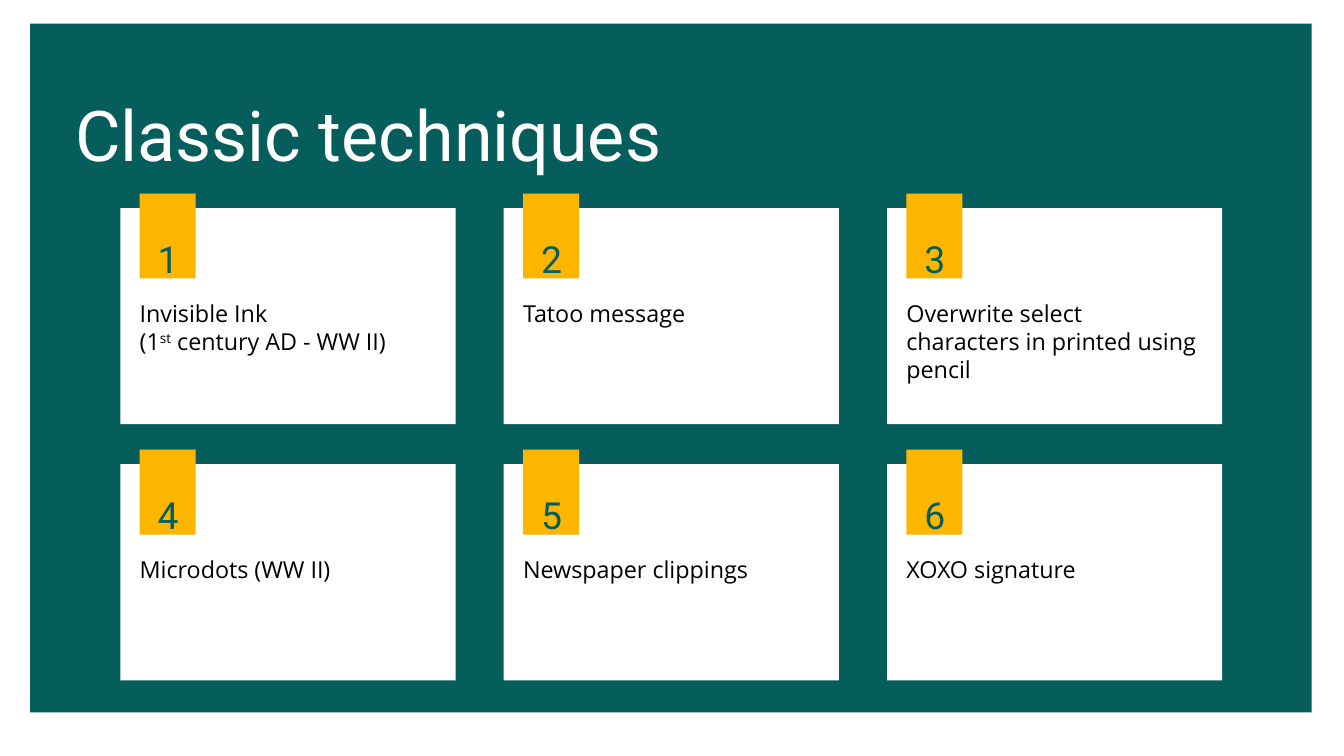
from pptx import Presentation
from pptx.dml.color import RGBColor
from pptx.enum.shapes import MSO_SHAPE
from pptx.enum.text import MSO_ANCHOR, MSO_AUTO_SIZE, PP_ALIGN
from pptx.util import Cm, Pt

TEAL, GOLD, WHITE, BLACK = "055E5C", "FDB600", "FFFFFF", "000000"
HEAD, BODY = "Roboto", "Open Sans"

# Each card is a list of paragraphs, each paragraph a list of (text, raised) runs.
CARDS = [
    [[("Invisible Ink", False)],
     [("(1", False), ("st", True), (" century AD - WW II)", False)]],
    [[("Tatoo message", False)]],
    [[("Overwrite select characters in printed using pencil", False)]],
    [[("Microdots (WW II)", False)]],
    [[("Newspaper clippings", False)]],
    [[("XOXO signature", False)]],
]


def paint(part, color):
    """Give a fill or a font a solid colour."""
    if hasattr(part, "solid"):
        part.solid()
        part.fore_color.rgb = RGBColor.from_string(color)
    else:
        part.color.rgb = RGBColor.from_string(color)


def block(slide, box, color):
    shape = slide.shapes.add_shape(MSO_SHAPE.RECTANGLE, *map(Cm, box))
    shape.shadow.inherit = False
    paint(shape.fill, color)
    shape.line.fill.background()


def write(shape, paras, font, size, color, space):
    frame = shape.text_frame
    frame.word_wrap = True
    frame.auto_size = MSO_AUTO_SIZE.NONE
    frame.vertical_anchor = MSO_ANCHOR.TOP
    frame.margin_left = frame.margin_right = 0
    frame.margin_top = frame.margin_bottom = 0
    for i, runs in enumerate(paras):
        para = frame.add_paragraph() if i else frame.paragraphs[0]
        para.alignment = PP_ALIGN.LEFT
        para.line_spacing = space
        para.space_before = Pt(0)
        for text, raised in runs:
            run = para.add_run()
            run.text = text
            run.font.name = font
            run.font.size = Pt(size)
            paint(run.font, color)
            if raised:
                run.font._element.set("baseline", "30000")


def label(slide, box, *style):
    write(slide.shapes.add_textbox(*map(Cm, box)), *style)


def title(slide, box, text):
    shape = slide.shapes.title
    shape.left, shape.top, shape.width, shape.height = map(Cm, box)
    write(shape, [[(text, False)]], HEAD, 75, WHITE, 1.2)


def card(slide, box, num, paras):
    """Draw a white card with a numbered tab over its top edge."""
    x, y, wide, high = box
    inset = 0.73
    block(slide, box, WHITE)
    block(slide, (x + inset, y - 0.55, 2.12, 3.21), GOLD)
    label(slide, (x + inset, y + 3.43, wide - 1.67, high - 4),
          paras, BODY, 25, BLACK, Pt(30))
    label(slide, (x + 1.41, y + 0.56, 0.91, 1.75),
          [[(str(num), False)]], HEAD, 40, TEAL, 1.3)


def grid(slide, box, cols, gap_x, gap_y):
    x, y, wide, high = box
    rows = len(CARDS) // cols
    card_w = (wide - gap_x * (cols - 1)) / cols
    card_h = (high - gap_y * (rows - 1)) / rows
    for i, paras in enumerate(CARDS):
        row, col = divmod(i, cols)
        place = (x + col * (card_w + gap_x), y + row * (card_h + gap_y),
                 card_w, card_h)
        card(slide, place, i + 1, paras)


def main():
    deck = Presentation()
    deck.slide_width, deck.slide_height = Cm(50.8), Cm(28.58)
    slide = deck.slides.add_slide(deck.slide_layouts[5])
    paint(slide.background.fill, WHITE)
    block(slide, (1.14, 0.89, 48.44, 26.04), TEAL)
    # The title placeholder comes first, so lift it above the panel.
    slide.shapes._spTree.append(slide.shapes.title._element)
    title(slide, (2.84, 2.84, 37.69, 3.84), "Classic techniques")
    grid(slide, (4.55, 7.87, 41.65, 17.85), 3, 1.82, 1.51)
    deck.save("out.pptx")


if __name__ == "__main__":
    main()
